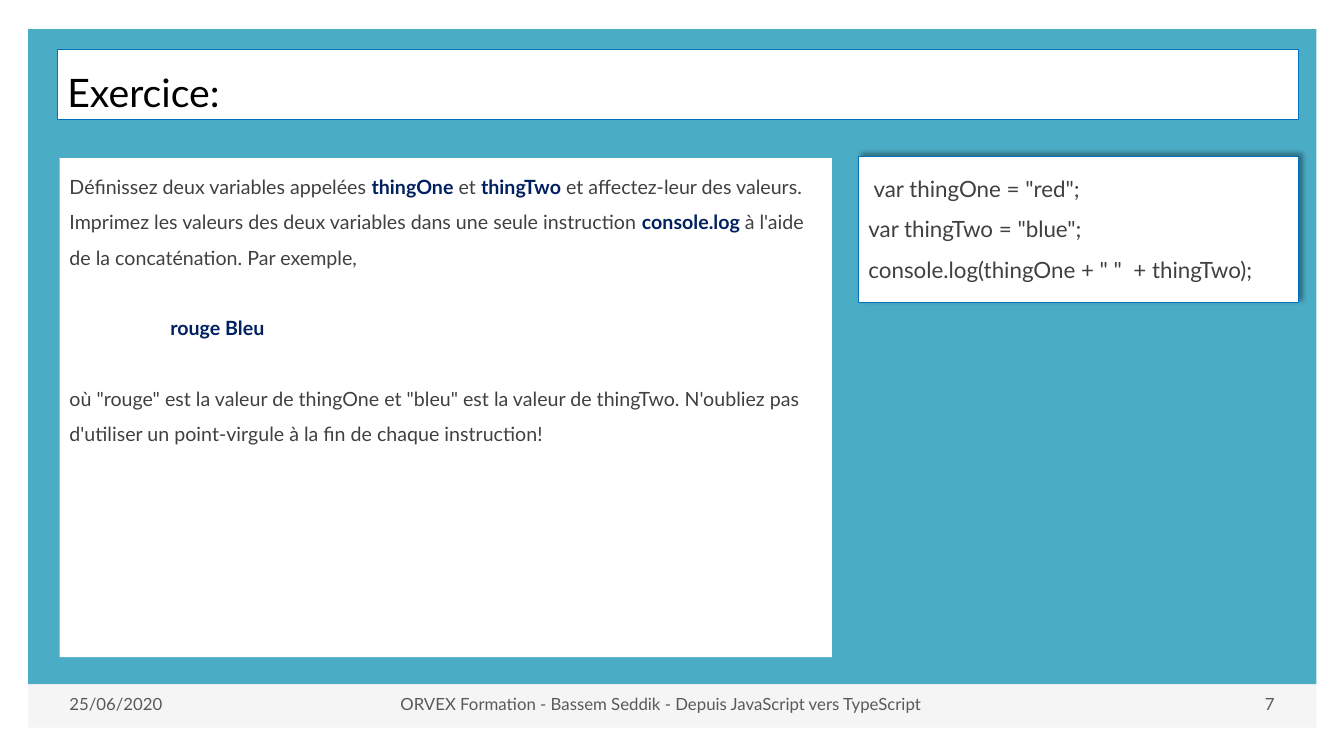
"""Build the exercise slide: a task on the left and its code answer on the right."""
from dataclasses import dataclass

from lxml.etree import SubElement as Sub
from pptx import Presentation
from pptx.dml.color import RGBColor as Rgb
from pptx.enum.shapes import MSO_SHAPE as Shape
from pptx.enum.text import MSO_ANCHOR as Anchor, PP_ALIGN as Align
from pptx.oxml.ns import qn
from pptx.util import Inches, Pt


@dataclass(frozen=True)
class Theme:
    font: str = "Lato"
    white: str = "FFFFFF"
    band: str = "F5F5F5"
    teal: str = "4BACC6"
    edge: str = "0070C0"
    black: str = "000000"
    text: str = "404040"
    strong: str = "002060"
    muted: str = "595959"
    title: int = 28
    code: int = 16
    body: int = 14
    foot: int = 12
    lead: float = 1.5
    gap: float = 25.2


T = Theme()
WIDE, HIGH = Inches(13.33), Inches(7.5)

TITLE = "Exercice:"
TASK = [
    [("Définissez deux variables appelées ", False), ("thingOne", True), (" et ", False),
     ("thingTwo", True),
     (" et affectez-leur des valeurs. Imprimez les valeurs des deux variables "
      "dans une seule instruction ", False),
     ("console.log ", True),
     ("à l'aide de la concaténation. Par exemple,", False)],
    [("rouge Bleu", True)],
    [("où \"rouge\" est la valeur de thingOne et \"bleu\" est la valeur de thingTwo. "
      "N'oubliez pas d'utiliser un point-virgule à la fin de chaque instruction!", False)],
]
CODE = [
    ' var thingOne = "red";',
    'var thingTwo = "blue";',
    'console.log(thingOne + " "  + thingTwo);',
]
FOOT = [
    ("25/06/2020", 12.6, Align.LEFT),
    ("ORVEX Formation - Bassem Seddik - Depuis JavaScript vers TypeScript", 64.29, Align.CENTER),
    ("7", 14.25, Align.RIGHT),
]

AREA = {
    "panel": (2.1, 3.87, 95.84, 86.67),
    "band": (2.1, 90.54, 95.84, 5.7),
    "title": (4.28, 6.53, 92.35, 9.33),
    "task": (4.43, 20.93, 57.46, 66),
    "code": (63.88, 20.74, 32.73, 19.33),
}
FOOT_X, FOOT_Y, FOOT_H = 4.43, 90.4, 5.33


def place(x, y, w, h):
    return [round(part * full / 100) for part, full in zip((x, y, w, h), (WIDE, HIGH) * 2)]


def box(slide, area, fill, line=None):
    shape = slide.shapes.add_shape(Shape.RECTANGLE, *place(*AREA[area]))
    shape.shadow.inherit = False
    shape.fill.solid()
    shape.fill.fore_color.rgb = Rgb.from_string(fill)
    if line:
        shape.line.color.rgb = Rgb.from_string(line)
        shape.line.width = Pt(0.75)
    else:
        shape.line.fill.background()
    return shape


def write(shape, paras, size, color, anchor=Anchor.TOP, align=Align.LEFT, lead=None):
    frame = shape.text_frame
    frame.word_wrap = True
    frame.vertical_anchor = anchor
    for i, parts in enumerate(paras):
        para = frame.add_paragraph() if i else frame.paragraphs[0]
        para.alignment = align
        para.line_spacing = lead
        for words, bold in parts:
            run = para.add_run()
            run.text = words
            run.font.name = T.font
            run.font.size = Pt(size)
            run.font.bold = bold
            run.font.color.rgb = Rgb.from_string(T.strong if bold else color)
    return frame.paragraphs


def cast(shape):
    effect = shape._element.spPr.find(qn("a:effectLst"))
    shade = Sub(effect, qn("a:outerShdw"), blurRad=str(Pt(4)), dist=str(Pt(3)),
                dir=str(315 * 60000), algn="bl", rotWithShape="0")
    tint = Sub(shade, qn("a:srgbClr"), val=T.black)
    Sub(tint, qn("a:alpha"), val="40000")


def main():
    deck = Presentation()
    deck.slide_width, deck.slide_height = WIDE, HIGH
    slide = deck.slides.add_slide(deck.slide_layouts[6])

    box(slide, "panel", T.teal)
    box(slide, "band", T.band)
    title = box(slide, "title", T.white, T.edge)
    write(title, [[(TITLE, False)]], T.title, T.black, Anchor.BOTTOM)

    x = FOOT_X
    for words, width, align in FOOT:
        note = slide.shapes.add_textbox(*place(x, FOOT_Y, width, FOOT_H))
        write(note, [[(words, False)]], T.foot, T.muted, Anchor.MIDDLE, align)
        x += width

    task = box(slide, "task", T.white)
    sample = write(task, TASK, T.body, T.text, lead=T.lead)[1]
    sample.space_before = sample.space_after = Pt(T.gap)
    sample._p.get_or_add_pPr().set("marL", str(Inches(1)))

    code = box(slide, "code", T.white, T.edge)
    cast(code)
    write(code, [[(row, False)] for row in CODE], T.code, T.text, lead=T.lead)

    deck.save("out.pptx")


if __name__ == "__main__":
    main()
